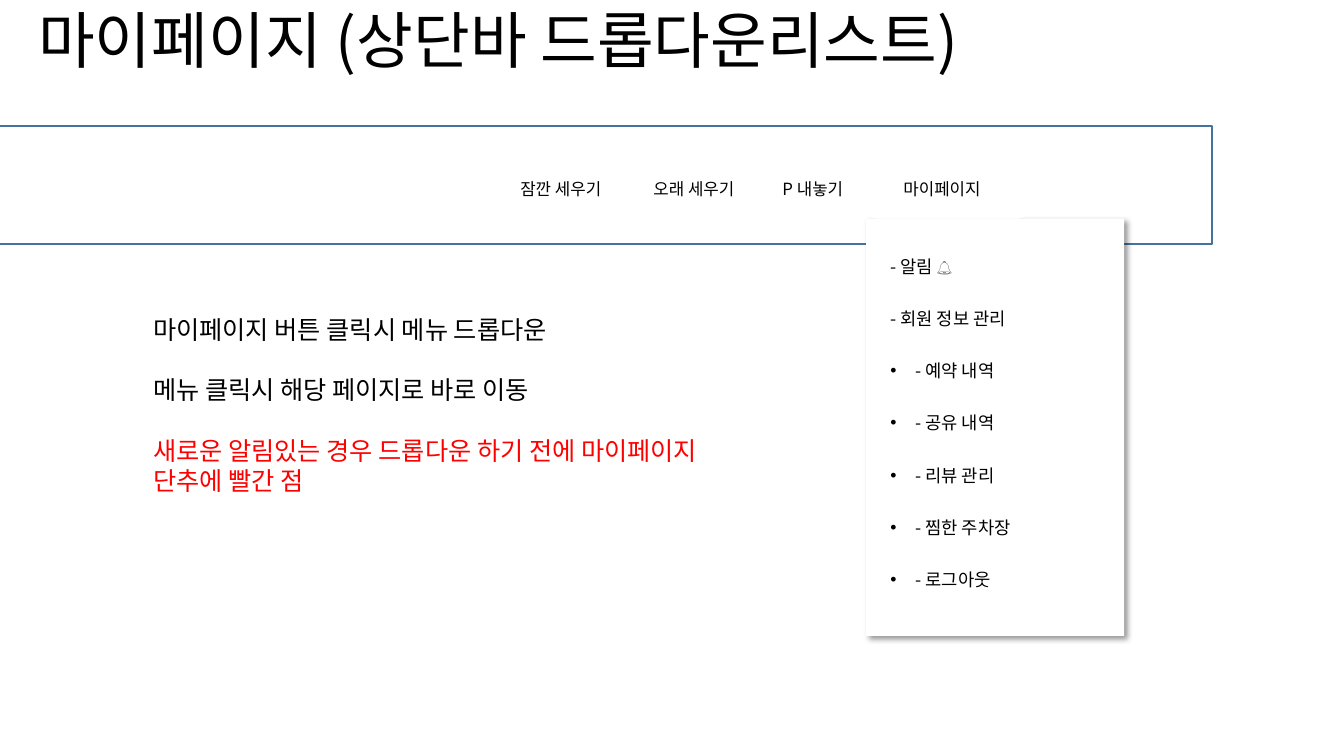
from lxml import etree
from pptx import Presentation
from pptx.dml.color import RGBColor
from pptx.enum.shapes import MSO_SHAPE
from pptx.enum.text import MSO_ANCHOR, MSO_AUTO_SIZE, PP_ALIGN
from pptx.oxml.ns import qn
from pptx.util import Inches, Pt

RECTANGLE, ROUNDED = MSO_SHAPE.RECTANGLE, MSO_SHAPE.ROUNDED_RECTANGLE
TOP, MIDDLE = MSO_ANCHOR.TOP, MSO_ANCHOR.MIDDLE
NO_FIT, LEFT = MSO_AUTO_SIZE.NONE, PP_ALIGN.LEFT
FONT = "Noto Sans CJK KR"
COLORS = {"white": "FFFFFF", "black": "000000", "red": "FF0000", "outline": "43739E"}
WIDTH, HEIGHT = Inches(13.33), Inches(7.5)

MENU_LABELS = ["잠깐 세우기", "오래 세우기", "P 내놓기", "마이페이지"]
MENU_STOPS = [1.32, 2.6, 3.8]
DROPDOWN_ITEMS = ["- 알림 🔔", "- 회원 정보 관리", "- 예약 내역", "- 공유 내역",
                  "- 리뷰 관리", "- 찜한 주차장", "- 로그아웃"]
PLAIN_ITEMS = 2
NOTES = [("마이페이지 버튼 클릭시 메뉴 드롭다운", "black"),
         ("메뉴 클릭시 해당 페이지로 바로 이동", "black"),
         ("새로운 알림있는 경우 드롭다운 하기 전에 마이페이지 단추에 빨간 점", "red")]


def color(name):
    return RGBColor.from_string(COLORS[name])


def share(left, top, width, height):
    return (int(WIDTH * left / 100), int(HEIGHT * top / 100),
            int(WIDTH * width / 100), int(HEIGHT * height / 100))


def apply(target, values):
    for name, value in values.items():
        setattr(target, name, value)


def add_panel(slide, kind, area, outline=None):
    panel = slide.shapes.add_shape(kind, *share(*area))
    panel.shadow.inherit = False
    panel.fill.solid()
    panel.fill.fore_color.rgb = color("white")
    if outline:
        panel.line.color.rgb = color(outline)
        panel.line.width = Pt(1)
    else:
        panel.line.fill.background()
    return panel


def add_shadow(panel):
    effects = panel.element.spPr.find(qn("a:effectLst"))
    shadow = etree.SubElement(effects, qn("a:outerShdw"), blurRad=str(Pt(4)),
                              dist=str(Pt(3)), dir=str(45 * 60000), algn="tl", rotWithShape="0")
    tint = etree.SubElement(shadow, qn("a:srgbClr"), val=COLORS["black"])
    etree.SubElement(tint, qn("a:alpha"), val="40000")


def place(box, area, anchor):
    left, top, width, height = share(*area)
    apply(box, {"left": left, "top": top, "width": width, "height": height})
    apply(box.text_frame, {"word_wrap": True, "auto_size": NO_FIT, "vertical_anchor": anchor})
    return box.text_frame


def raise_placeholder(slide, box):
    slide.shapes.element.append(box.element)


def write(frame, index, text, size, tint="black", **spacing):
    para = frame.paragraphs[0] if index == 0 else frame.add_paragraph()
    apply(para, {"alignment": LEFT, "space_before": Pt(0), **spacing})
    span = para.add_run()
    span.text = text
    apply(span.font, {"name": FONT, "size": Pt(size)})
    span.font.color.rgb = color(tint)
    etree.SubElement(span.font._element, qn("a:ea"), typeface=FONT)
    return para


def add_bullet(para, marked):
    properties = para._p.get_or_add_pPr()
    properties.set("marL", str(Inches(0.25)))
    properties.set("indent", str(-Inches(0.25)))
    if marked:
        tint = etree.SubElement(properties, qn("a:buClr"))
        etree.SubElement(tint, qn("a:srgbClr"), val=COLORS["black"])
        etree.SubElement(properties, qn("a:buFont"), typeface="Arial")
        etree.SubElement(properties, qn("a:buChar"), char="•")
    else:
        etree.SubElement(properties, qn("a:buNone"))


def add_menu(slide, area):
    box = slide.shapes.add_textbox(*share(*area))
    frame = place(box, area, MIDDLE)
    frame.margin_left = Inches(2.22)
    para = write(frame, 0, "\t".join(MENU_LABELS), 12)
    tabs = etree.SubElement(para._p.get_or_add_pPr(), qn("a:tabLst"))
    for stop in MENU_STOPS:
        etree.SubElement(tabs, qn("a:tab"), pos=str(Inches(stop)), algn="l")


def add_title(slide, area):
    title = slide.shapes.title
    raise_placeholder(slide, title)
    frame = place(title, area, MIDDLE)
    write(frame, 0, "마이페이지 (상단바 드롭다운리스트)", 44, line_spacing=0.9)


def add_dropdown(slide, area):
    body = slide.placeholders[1]
    raise_placeholder(slide, body)
    frame = place(body, area, TOP)
    for index, item in enumerate(DROPDOWN_ITEMS):
        para = write(frame, index, item, 12.6, line_spacing=1.8,
                     space_before=Pt(10 if index else 0))
        add_bullet(para, index >= PLAIN_ITEMS)


def add_notes(slide, area):
    box = slide.shapes.add_textbox(*share(*area))
    frame = place(box, area, TOP)
    for index, (note, tint) in enumerate(NOTES):
        write(frame, index, note, 18, tint, space_before=Pt(21.5 if index else 0))


def main():
    deck = Presentation()
    apply(deck, {"slide_width": WIDTH, "slide_height": HEIGHT})
    page = deck.slides.add_slide(deck.slide_layouts[1])
    add_panel(page, RECTANGLE, (-0.45, 16.67, 90.62, 15.6), "outline")
    add_shadow(add_panel(page, RECTANGLE, (64.44, 28.93, 19.2, 55.2)))
    add_panel(page, ROUNDED, (64.44, 20.93, 12, 8))
    add_menu(page, (22.06, 17.73, 67.67, 14.53))
    add_title(page, (2.1, -3.87, 86.27, 19.33))
    add_dropdown(page, (65.49, 30.93, 17.85, 51.33))
    add_notes(page, (10.65, 40.93, 45.91, 25.6))
    deck.save("out.pptx")


if __name__ == "__main__":
    main()
